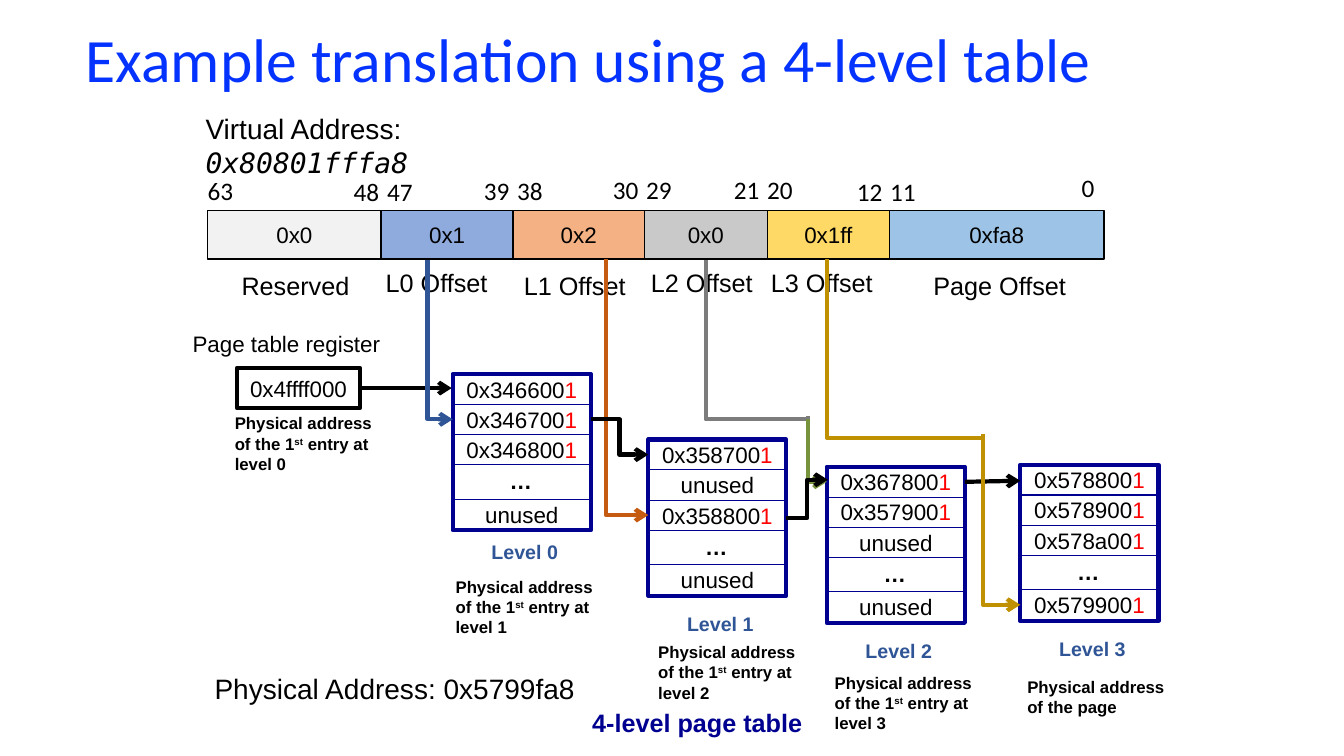
from lxml import etree
from pptx import Presentation
from pptx.dml.color import RGBColor
from pptx.enum import shapes as kinds, text as styles
from pptx.oxml import ns
from pptx.util import Inches, Pt

BLACK = RGBColor(0x00, 0x00, 0x00)
RED = RGBColor(0xFF, 0x00, 0x00)
TITLE_BLUE = RGBColor(0x04, 0x32, 0xFF)
NAVY = RGBColor(0x00, 0x00, 0x90)
STEEL = RGBColor(0x2F, 0x55, 0x97)
RUST = RGBColor(0xC5, 0x5A, 0x11)
GRAY = RGBColor(0x7C, 0x7C, 0x7C)
OLIVE = RGBColor(0x77, 0x93, 0x3C)
GOLD = RGBColor(0xBF, 0x90, 0x00)
PALE = RGBColor(0xF2, 0xF2, 0xF2)
BLUE = RGBColor(0x8F, 0xAA, 0xDC)
ORANGE = RGBColor(0xF4, 0xB1, 0x83)
SILVER = RGBColor(0xC9, 0xC9, 0xC9)
YELLOW = RGBColor(0xFF, 0xD9, 0x66)
SKY = RGBColor(0x9D, 0xC3, 0xE6)

LEFT, CENTER = styles.PP_ALIGN.LEFT, styles.PP_ALIGN.CENTER

# value, left, width, fill, high bit, low bit, bit left, bit top, label, label box
FIELDS = [
    ("0x0", 2.06, 1.72, PALE, "63", "48", 1.96, 1.69, "Reserved", (2.29, 2.63, 1.28)),
    ("0x1", 3.78, 1.31, BLUE, "47", "39", 3.74, 1.7, "L0 Offset ", (3.72, 2.6, 1.29)),
    ("0x2", 5.09, 1.3, ORANGE, "38", "30", 5.03, 1.69, "L1 Offset", (5.09, 2.63, 1.22)),
    ("0x0", 6.39, 1.22, SILVER, "29", "21", 6.31, 1.68, "L2 Offset ", (6.35, 2.6, 1.29)),
    ("0x1ff", 7.61, 1.21, YELLOW, "20", "12", 7.51, 1.68, "L3 Offset ", (7.54, 2.6, 1.29)),
    ("0xfa8", 8.82, 2.13, SKY, "11", "0", 8.73, 1.7, "Page Offset ", (9.15, 2.63, 1.6)),
]
LAST_BIT = (10.96, 1.66)

# left, top, entries, caption drop, note shift, note drop, note target
TABLES = [
    (4.49, 3.71, ("0x3466001", "0x3467001", "0x3468001", "…", "unused"), 1.6, -0.07, 1.96, "level 1"),
    (6.43, 4.36, ("0x3587001", "unused", "0x3588001", "…", "unused"), 1.66, 0, 1.96, "level 2"),
    (8.2, 4.63, ("0x3678001", "0x3579001", "unused", "…", "unused"), 1.66, -0.02, 1.99, "level 3"),
    (10.12, 4.61, ("0x5788001", "0x5789001", "0x578a001", "…", "0x5799001"), 1.66, -0.03, 2.05, None),
]
ENTRY_DROPS = (0, 0.3, 0.6, 0.88, 1.24)

# start, end, colour, drops first, bend (None for a plain corner), arrowhead
ELBOWS = [
    ((4.24, 2.58), (4.49, 4.16), STEEL, True, None, True),
    ((6.01, 2.57), (6.43, 5.11), RUST, True, None, True),
    ((7, 2.58), (8.01, 4.13), GRAY, True, 1.02, False),
    ((8.01, 4.16), (8.2, 4.78), OLIVE, True, None, True),
    ((7.8, 5.14), (8.21, 4.76), BLACK, False, 0.5, True),
    ((5.86, 4.16), (6.43, 4.51), BLACK, False, 0.5, True),
    ((8.2, 2.57), (9.75, 4.36), GOLD, True, 0.99, False),
    ((9.75, 4.31), (10.12, 6), GOLD, True, None, True),
]


def write(frame, *lines, size=16, font="Arial", color=BLACK, bold=None, align=LEFT):
    """Each line is a string or a list of (text, changes) spans."""
    for index, line in enumerate(lines):
        para = frame.add_paragraph() if index else frame.paragraphs[0]
        para.alignment = align
        for words, changes in [(line, {})] if isinstance(line, str) else line:
            span = para.add_run()
            span.text = words
            span.font.size = Pt(size)
            span.font.name = changes.get("font", font)
            span.font.color.rgb = changes.get("color", color)
            span.font.bold = bold
            span.font.italic = changes.get("italic")
            if "baseline" in changes:
                span.font._element.set("baseline", changes["baseline"])


def label(page, left, top, width, height, *lines, wrap=False, **format):
    box = page.shapes.add_textbox(Inches(left), Inches(top), Inches(width), Inches(height))
    box.text_frame.word_wrap = wrap
    box.text_frame.auto_size = styles.MSO_AUTO_SIZE.SHAPE_TO_FIT_TEXT
    write(box.text_frame, *lines, **format)


def rectangle(parent, left, top, width, height, line, weight, fill=None, words=None):
    box = parent.shapes.add_shape(kinds.MSO_SHAPE.RECTANGLE, Inches(left), Inches(top),
                                  Inches(width), Inches(height))
    box.shadow.inherit = False
    if fill is None:
        box.fill.background()
    else:
        box.fill.solid()
        box.fill.fore_color.rgb = fill
    box.line.color.rgb = line
    box.line.width = Pt(weight)
    if words:
        box.text_frame.vertical_anchor = styles.MSO_ANCHOR.MIDDLE
        write(box.text_frame, words, align=CENTER)


def connect(page, start, end, color=BLACK, kind=kinds.MSO_CONNECTOR.STRAIGHT, arrow=True):
    link = page.shapes.add_connector(kind, *(Inches(n) for n in (*start, *end)))
    link.line.color.rgb = color
    link.line.width = Pt(3)
    if arrow:
        etree.SubElement(link.line._ln, ns.qn("a:tailEnd")).set("type", "arrow")
    etree.SubElement(link.element.spPr, ns.qn("a:effectLst"))
    return link


def elbow(page, start, end, color, drops, bend, arrow):
    link = connect(page, start, end, color, kinds.MSO_CONNECTOR.ELBOW, arrow)
    shape = link.element.spPr.find(ns.qn("a:prstGeom"))
    if bend is None:
        shape.set("prst", "bentConnector2")
    elif bend != 0.5:
        guide = etree.SubElement(shape.find(ns.qn("a:avLst")), ns.qn("a:gd"))
        guide.set("name", "adj1")
        guide.set("fmla", f"val {round(bend * 100000)}")
    if drops:
        # A quarter turn swaps the sides around the same centre
        wide, tall = link.width, link.height
        link.left += (wide - tall) // 2
        link.top += (tall - wide) // 2
        link.width, link.height = tall, wide
        place = link.element.spPr.find(ns.qn("a:xfrm"))
        place.set("rot", "16200000")
        place.set("flipH", "1")


def physical_note(page, left, top, target):
    lines = ["Physical address"]
    if target:
        lines += [[("of the 1", {}), ("st", {"baseline": "30000"}), (" entry at", {})], target]
    else:
        lines.append("of the page")
    label(page, left, top, 1.62, 0.1 + 0.2 * len(lines), *lines, size=12, bold=True)


def title(page, left, top, width, height):
    box = page.shapes.title
    box.left, box.top, box.width, box.height = (Inches(n) for n in (left, top, width, height))
    box.text_frame.vertical_anchor = styles.MSO_ANCHOR.MIDDLE
    write(box.text_frame, "Example translation using a 4-level table",
          size=44, font="Calibri", color=TITLE_BLUE)
    box.text_frame.paragraphs[0].line_spacing = 0.9


def virtual_address(page, top):
    label(page, 1.94, top - 1.03, 4.1, 0.44,
          [("Virtual Address: ", {}), ("0x80801fffa8", {"font": "DejaVu Sans Mono", "italic": True})],
          size=20, wrap=True)
    bar = page.shapes.add_group_shape()
    next_bits = [field[6:8] for field in FIELDS[1:]] + [LAST_BIT]
    for field, (next_left, next_top) in zip(FIELDS, next_bits):
        value, left, width, fill, high, low, bit_left, bit_top, name, (x, y, span) = field
        rectangle(bar, left, top, width, 0.48, BLACK, 1, fill, value)
        label(page, bit_left, bit_top, 0.51, 0.4, high, size=18, font="Calibri", wrap=True)
        label(page, next_left - 0.33, next_top, 0.51, 0.4, low, size=18, font="Calibri", wrap=True)
        label(page, x, y, span, 0.4, name, size=18, align=CENTER)


def table_register(page, left, top):
    label(page, left - 0.55, top - 0.42, 2.08, 0.37, "Page table register", align=CENTER)
    rectangle(page, left, top, 1.22, 0.4, BLACK, 3, words="0x4ffff000")
    physical_note(page, left - 0.12, top + 0.4, "level 0")


def page_table(page, level, left, top, entries, caption_drop, note_shift, note_drop, target):
    rectangle(page, left, top, 1.37, 1.55, NAVY, 3)
    for entry, drop in zip(entries, ENTRY_DROPS):
        if entry == "…":
            label(page, left + 0.46, top + drop, 0.43, 0.37, entry, bold=True, align=CENTER)
            continue
        # The valid bit ends each address
        words = [(entry[:-1], {}), (entry[-1], {"color": RED})] if entry.startswith("0x") else entry
        rectangle(page, left, top + drop, 1.37, 0.3, NAVY, 0.5, words=words)
    label(page, left + 0.28, top + caption_drop, 0.87, 0.34, f"Level {level}",
          size=14, color=STEEL, bold=True, align=CENTER)
    physical_note(page, left + note_shift, top + note_drop, target)


def main():
    deck = Presentation()
    deck.slide_width, deck.slide_height = Inches(13.33), Inches(7.5)
    page = deck.slides.add_slide(deck.slide_layouts[5])
    title(page, 0.75, 0, 11.28, 1.25)
    virtual_address(page, 2.09)
    table_register(page, 2.35, 3.65)
    for level, table in enumerate(TABLES):
        page_table(page, level, *table)
    # Lookup path
    connect(page, (3.57, 3.85), (4.48, 3.85))
    connect(page, (9.57, 4.78), (10.12, 4.77))
    for link in ELBOWS:
        elbow(page, *link)
    # Result and caption
    label(page, 2.03, 6.61, 3.8, 0.44, "Physical Address: 0x5799fa8", size=20)
    label(page, 5.76, 6.97, 2.31, 0.4, "4-level page table", size=18, color=NAVY, bold=True, align=CENTER)
    deck.save("out.pptx")


if __name__ == "__main__":
    main()
